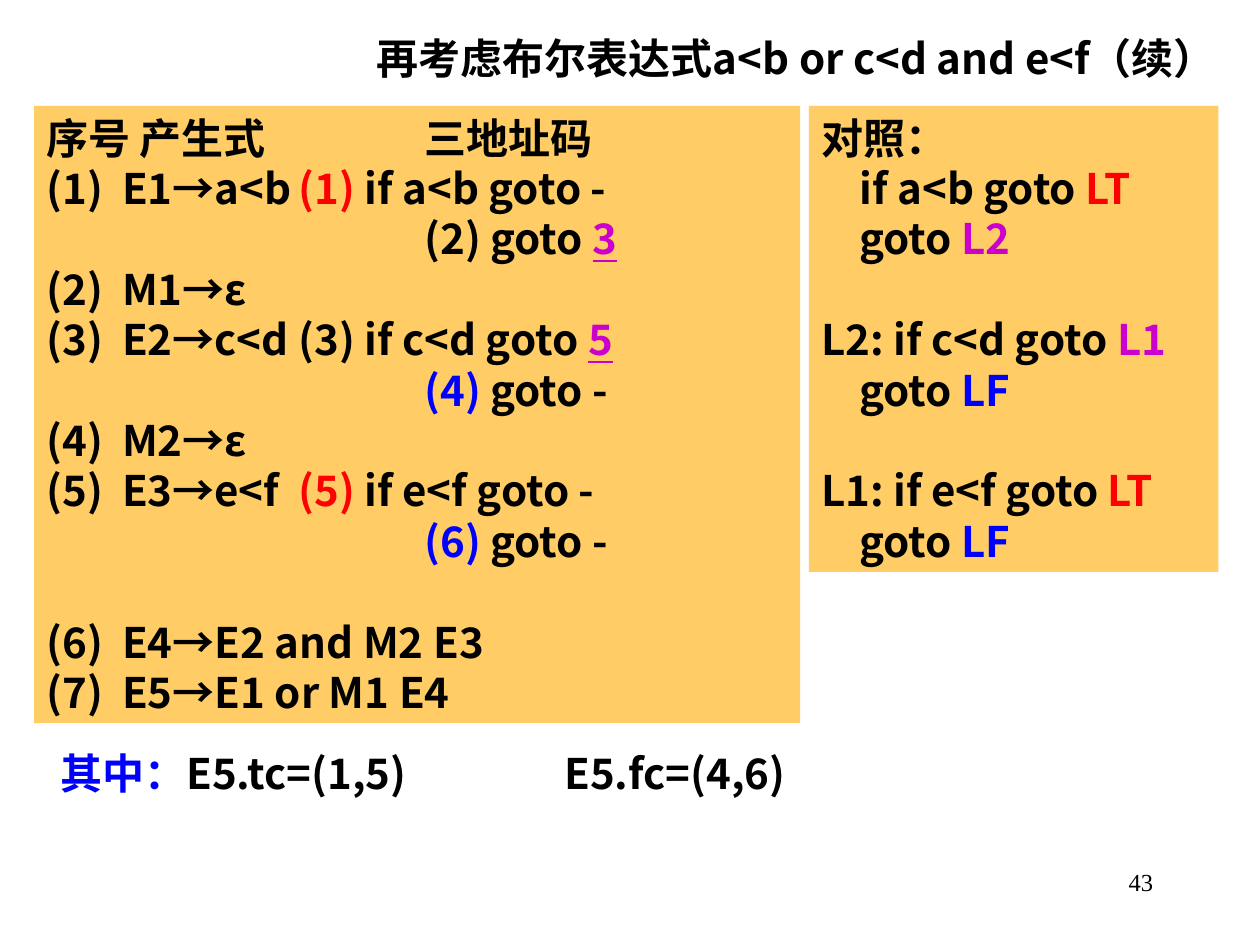
import pptx
import pptx.dml.color
import pptx.enum.shapes
import pptx.enum.text
import pptx.oxml.ns
import pptx.util
from lxml import etree

Inches, Pt = pptx.util.Inches, pptx.util.Pt
ALIGN = pptx.enum.text.PP_ALIGN
ANCHOR = pptx.enum.text.MSO_ANCHOR

THEME = {
    "font": "Noto Sans CJK SC", "number_font": "Times New Roman",
    "size": 24, "number_size": 14, "line": 28.8,
    "text": "000000", "panel": "FFCC66",
    "true": "FF0000", "false": "0000FF", "jump": "CC00CC",
}

# A paragraph is a list of (text, colour role) runs; None is an empty line.
# The role "link" is an underlined jump target.
TITLE = [[("再考虑布尔表达式a<b or c<d and e<f（续）", "text")]]
COMPARISON = [
    [("对照：", "text")],
    [("    if a<b goto ", "text"), ("LT", "true")],
    [("    goto ", "text"), ("L2", "jump")],
    None,
    [("L2: if c<d goto ", "text"), ("L1", "jump")],
    [("    goto ", "text"), ("LF", "false")],
    None,
    [("L1: if e<f goto", "text"), (" LT", "true")],
    [("    goto ", "text"), ("LF", "false")],
]
DERIVATION = [
    [("序号 产生式\t\t三地址码", "text")],
    [("(1)  E1→a<b\t", "text"), ("(1) ", "true"), ("if a<b goto -", "text")],
    [("\t\t\t(2) goto ", "text"), ("3", "link")],
    [("(2)  M1→ε", "text")],
    [("(3)  E2→c<d\t(3) if c<d goto ", "text"), ("5", "link")],
    [("\t\t\t", "text"), ("(4) ", "false"), ("goto -", "text")],
    [("(4)  M2→ε", "text")],
    [("(5)  E3→e<f\t", "text"), ("(5) ", "true"), ("if e<f goto -", "text")],
    [("\t\t\t", "text"), ("(6) ", "false"), ("goto -", "text")],
    None,
    [("(6)  E4→E2 and M2 E3", "text")],
    [("(7)  E5→E1 or M1 E4", "text")],
]
RESULT = [[("其中：", "false"), ("E5.tc=(1,5)\t\tE5.fc=(4,6)", "text")]]
NUMBER = [[("43", "text")]]

PANELS = [  # left, top, width, height, paragraphs
    (6.42, 0.84, 3.25, 3.7, COMPARISON),
    (0.27, 0.84, 6.08, 4.9, DERIVATION),
]


def colour(role):
    return pptx.dml.color.RGBColor.from_string(THEME[role])


def set_values(target, values):
    for name, value in values.items():
        setattr(target, name, value)


def add_tab_stops(paragraph):
    """Put a left tab stop at every inch up to seven."""
    stops = etree.SubElement(paragraph._p.get_or_add_pPr(), pptx.oxml.ns.qn("a:tabLst"))
    for inch in range(8):
        etree.SubElement(stops, pptx.oxml.ns.qn("a:tab"), pos=str(Inches(inch)), algn="l")


def write(shape, paragraphs, align, anchor=ANCHOR.TOP, font="font", size="size"):
    frame = shape.text_frame
    set_values(frame, {
        "word_wrap": True, "vertical_anchor": anchor,
        "margin_left": Inches(0.1), "margin_right": Inches(0.1),
        "margin_top": Inches(0.05), "margin_bottom": Inches(0.05),
    })
    paragraph, gap = None, 0
    for runs in paragraphs:
        if runs is None:
            gap += THEME["line"]
            continue
        paragraph = frame.add_paragraph() if paragraph else frame.paragraphs[0]
        paragraph.alignment = align
        if gap:
            paragraph.space_before = Pt(gap)
        gap = 0
        add_tab_stops(paragraph)
        for text, role in runs:
            run = paragraph.add_run()
            run.text = text
            set_values(run.font, {
                "name": THEME[font], "size": Pt(THEME[size]),
                "bold": font == "font", "underline": role == "link",
            })
            run.font.color.rgb = colour("jump" if role == "link" else role)
            etree.SubElement(run._r.get_or_add_rPr(), pptx.oxml.ns.qn("a:ea"),
                             typeface=THEME[font])


def main():
    presentation = pptx.Presentation()
    presentation.slide_width, presentation.slide_height = Inches(10), Inches(7.5)
    slide = presentation.slides.add_slide(presentation.slide_layouts[5])
    shapes = slide.shapes

    title = shapes.title
    set_values(title, {"left": Inches(1.25), "top": Inches(0.17),
                       "width": Inches(8.5), "height": Inches(0.58)})
    write(title, TITLE, ALIGN.RIGHT, ANCHOR.MIDDLE)

    for *place, paragraphs in PANELS:
        panel = shapes.add_shape(pptx.enum.shapes.MSO_SHAPE.RECTANGLE, *map(Inches, place))
        panel.shadow.inherit = False
        panel.fill.solid()
        panel.fill.fore_color.rgb = colour("panel")
        panel.line.fill.background()
        write(panel, paragraphs, ALIGN.JUSTIFY)

    result = shapes.add_textbox(*map(Inches, (0.38, 5.88, 6.43, 0.5)))
    write(result, RESULT, ALIGN.LEFT)
    number = shapes.add_textbox(*map(Inches, (7.17, 6.83, 2.08, 0.5)))
    write(number, NUMBER, ALIGN.RIGHT, font="number_font", size="number_size")

    presentation.save("out.pptx")


if __name__ == "__main__":
    main()
